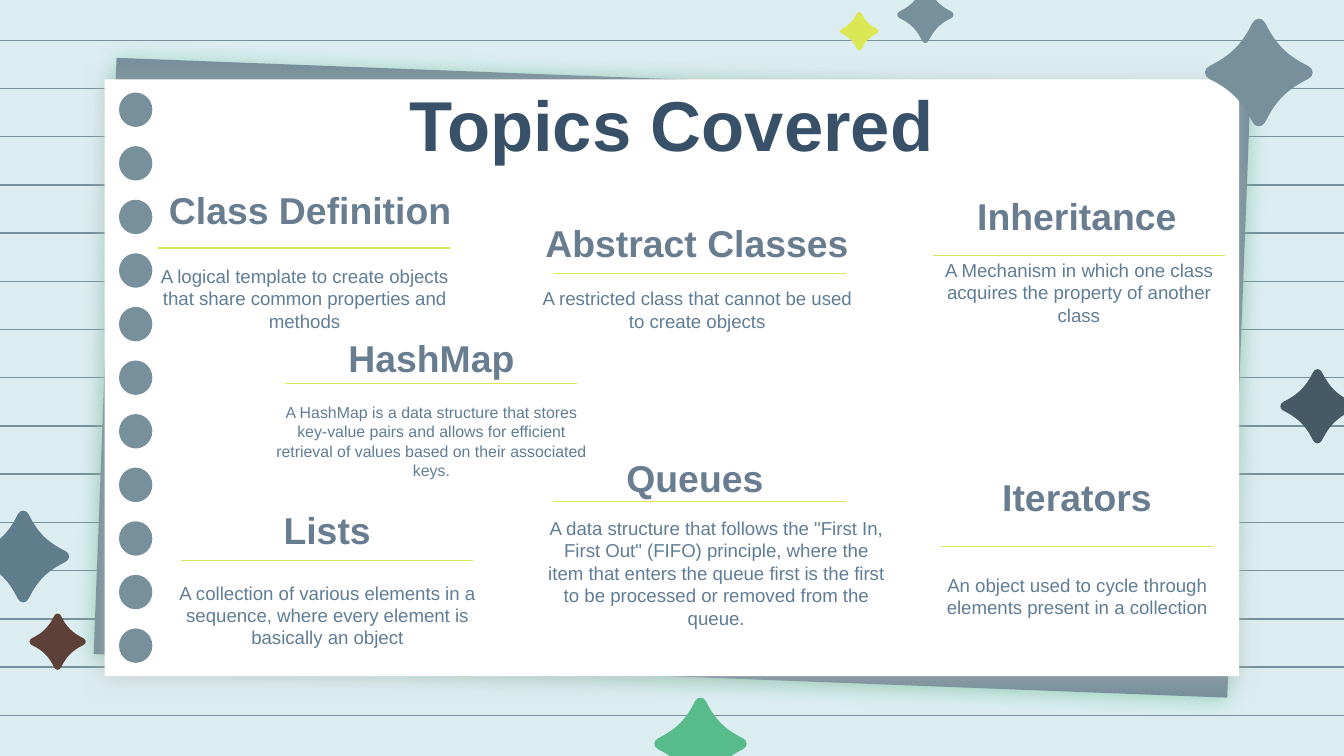
from dataclasses import dataclass

from lxml import etree
from pptx import Presentation
from pptx.dml.color import RGBColor
from pptx.enum.shapes import MSO_CONNECTOR, MSO_SHAPE
from pptx.enum.text import MSO_ANCHOR, MSO_AUTO_SIZE, PP_ALIGN
from pptx.oxml.ns import qn
from pptx.util import Cm, Pt

STRAIGHT = MSO_CONNECTOR.STRAIGHT
RECTANGLE, OVAL = MSO_SHAPE.RECTANGLE, MSO_SHAPE.OVAL
TOP, BOTTOM = MSO_ANCHOR.TOP, MSO_ANCHOR.BOTTOM
NO_AUTOFIT = MSO_AUTO_SIZE.NONE
CENTER = PP_ALIGN.CENTER
TITLE_ONLY = 5


@dataclass(frozen=True)
class Theme:
    """Colours, font and type sizes of the slide."""
    font: str = "Arial"
    paper: str = "DCEDF2"
    card: str = "FFFFFF"
    slate: str = "78909C"
    steel: str = "607D8B"
    charcoal: str = "455A64"
    green: str = "57BB8A"
    brown: str = "5D4037"
    lime: str = "DCE755"
    card_shadow: str = "B7B7B7"
    title: str = "395168"
    heading: str = "697D90"
    body: str = "5F7D95"
    title_size: float = 37.8
    heading_size: float = 20
    body_size: float = 10
    small_size: float = 8.5
    line_width: float = 0.75


THEME = Theme()
CARD_BOX = (1.98, 1.5, 21.44, 11.28)
CARD_TILT = 2.2
RULED_LINES, RULED_TOP, RULED_SPAN = 15, 0.76, 12.76
HOLES, HOLE_TOP, HOLE_SPAN = 11, 1.75, 10.13

BACK_STARS = [
    (0.44, 10.52, 1.73, THEME.steel),
    (24.9, 7.68, 1.4, THEME.charcoal),
    (17.49, 0.28, 1.06, THEME.slate),
    (13.24, 14.06, 1.74, THEME.green),
    (1.09, 12.13, 1.06, THEME.brown),
    (16.24, 0.59, 0.73, THEME.lime),
]
CORNER_STAR = (23.79, 1.37, 2.03, THEME.slate)
STAR_ARM = [(-0.07, -1.03), (0.07, -1.03), (0.12, -0.92),
            (0.32, -0.52), (0.52, -0.32), (0.92, -0.12)]

TOPICS = [
    ("Class Definition", (2.74, 3.66, 6.25, 0.97),
     "A logical template to create objects that share common properties and methods",
     (2.63, 4.75, 6.25, 1.6), THEME.body_size, (2.99, 8.51, 4.69)),
    ("Inheritance", (17.6, 3.61, 5.51, 1.14),
     "A Mechanism in which one class acquires the property of another class",
     (17.48, 4.64, 5.82, 2.31), THEME.body_size, (17.63, 23.15, 4.83)),
    ("Abstract Classes", (9.62, 4.11, 7.11, 1.14),
     "A restricted class that cannot be used to create objects",
     (9.86, 5.18, 6.63, 1.6), THEME.body_size, (10.46, 15.98, 5.17)),
    ("Iterators", (18.16, 8.92, 4.39, 1.14),
     "An object used to cycle through elements present in a collection",
     (17.33, 10.59, 6.05, 2.31), THEME.body_size, (17.78, 22.93, 10.33)),
    ("Lists", (3.66, 9.55, 5.05, 1.14),
     "A collection of various elements in a sequence, where every element is basically an object",
     (2.63, 10.74, 7.11, 2.31), THEME.body_size, (3.42, 8.94, 10.59)),
    ("Queues", (10.61, 8.56, 5.05, 1.14),
     'A data structure that follows the "First In, First Out" (FIFO) principle, where the item '
     "that enters the queue first is the first to be processed or removed from the queue.",
     (10.08, 9.52, 6.91, 2.31), THEME.body_size, (10.46, 15.98, 9.48)),
    ("HashMap", (4.6, 6.29, 7.11, 1.14),
     "A HashMap is a data structure that stores key-value pairs and allows for efficient "
     "retrieval of values based on their associated keys.",
     (4.84, 7.37, 6.63, 1.6), THEME.small_size, (5.39, 10.91, 7.25)),
]


def rgb(colour):
    """Turn a hex string into a colour."""
    return RGBColor.from_string(colour)


def apply_format(target, values):
    """Set each named attribute of the target."""
    for name, value in values.items():
        setattr(target, name, value)


def paint(shape, colour):
    """Give a shape a plain fill without line or shadow."""
    shape.shadow.inherit = False
    shape.fill.solid()
    shape.fill.fore_color.rgb = rgb(colour)
    shape.line.fill.background()


def add_block(slide, kind, box, colour):
    """Add a plain preset shape."""
    block = slide.shapes.add_shape(kind, *map(Cm, box))
    paint(block, colour)
    return block


def add_glow(shape, colour):
    """Put a soft half-transparent shadow just below a shape."""
    effects = shape._element.spPr.find(qn("a:effectLst"))
    shadow = etree.SubElement(effects, qn("a:outerShdw"), blurRad=str(Pt(11.2)),
                              dist=str(Pt(1.5)), dir="5400000", algn="bl", rotWithShape="0")
    tint = etree.SubElement(shadow, qn("a:srgbClr"), val=colour)
    etree.SubElement(tint, qn("a:alpha"), val="50000")


def add_rule(slide, start, end, y, colour):
    """Add a thin horizontal line."""
    rule = slide.shapes.add_connector(STRAIGHT, Cm(start), Cm(y), Cm(end), Cm(y))
    rule.line.color.rgb = rgb(colour)
    rule.line.width = Pt(THEME.line_width)
    etree.SubElement(rule._element.spPr, qn("a:effectLst"))


def bend_segments(shape):
    """Join every three line segments of a freeform into one cubic curve."""
    segments = list(shape._element.iter(qn("a:lnTo")))
    for first in range(0, len(segments), 3):
        curve = etree.Element(qn("a:cubicBezTo"))
        segments[first].addprevious(curve)
        for segment in segments[first:first + 3]:
            curve.append(segment[0])
            segment.getparent().remove(segment)


def add_star(slide, center_x, center_y, size, colour):
    """Add a four-pointed star with rounded tips."""
    arm, outline = STAR_ARM, []
    for _ in range(4):
        outline += arm
        arm = [(-y, x) for x, y in arm]
    points = [(Cm(center_x + x * size / 2), Cm(center_y + y * size / 2)) for x, y in outline]
    builder = slide.shapes.build_freeform(*points[-1])
    builder.add_line_segments(points, close=True)
    star = builder.convert_to_shape()
    bend_segments(star)
    paint(star, colour)


def write_text(holder, text, size, colour, bold=False, anchor=TOP):
    """Write one centred paragraph into a text holder."""
    frame = holder.text_frame
    margins = {f"margin_{side}": Cm(0.25) for side in ("left", "top", "right", "bottom")}
    apply_format(frame, {"text": text, "word_wrap": True, "auto_size": NO_AUTOFIT,
                         "vertical_anchor": anchor, **margins})
    paragraph = frame.paragraphs[0]
    paragraph.alignment = CENTER
    font = paragraph.runs[0].font
    apply_format(font, {"name": THEME.font, "size": Pt(size), "bold": bold})
    font.color.rgb = rgb(colour)


def add_notebook(slide):
    """Draw the ruled page, the two cards, the punched holes and the stars."""
    slide.background.fill.solid()
    slide.background.fill.fore_color.rgb = rgb(THEME.paper)
    for row in range(RULED_LINES):
        y = RULED_TOP + row * RULED_SPAN / (RULED_LINES - 1)
        add_rule(slide, 25.6, -0.2, y, THEME.slate)
    back_card = add_block(slide, RECTANGLE, CARD_BOX, THEME.slate)
    back_card.rotation = CARD_TILT
    add_glow(back_card, THEME.green)
    add_glow(add_block(slide, RECTANGLE, CARD_BOX, THEME.card), THEME.card_shadow)
    for hole in range(HOLES):
        top = HOLE_TOP + hole * HOLE_SPAN / (HOLES - 1)
        add_block(slide, OVAL, (2.25, top, 0.63, 0.65), THEME.slate)
    for star in BACK_STARS:
        add_star(slide, *star)


def add_title(slide, text):
    """Place the title in front of the notebook."""
    title = slide.shapes.title
    box = zip(("left", "top", "width", "height"), map(Cm, (3.23, 1.78, 18.92, 1.6)))
    apply_format(title, dict(box))
    write_text(title, text, THEME.title_size, THEME.title, bold=True, anchor=BOTTOM)
    slide.shapes._spTree.append(title._element)


def add_topic(slide, name, name_box, meaning, meaning_box, meaning_size, rule):
    """Add a topic's heading, rule and explanation."""
    explanation = slide.shapes.add_textbox(*map(Cm, meaning_box))
    write_text(explanation, meaning, meaning_size, THEME.body)
    heading = slide.shapes.add_textbox(*map(Cm, name_box))
    write_text(heading, name, THEME.heading_size, THEME.heading, bold=True, anchor=BOTTOM)
    add_rule(slide, *rule, THEME.lime)


def main():
    """Build and save the slide."""
    deck = Presentation()
    apply_format(deck, {"slide_width": Cm(25.4), "slide_height": Cm(14.29)})
    slide = deck.slides.add_slide(deck.slide_layouts[TITLE_ONLY])
    add_notebook(slide)
    add_title(slide, "Topics Covered")
    for topic in TOPICS:
        add_topic(slide, *topic)
    add_star(slide, *CORNER_STAR)
    deck.save("out.pptx")


if __name__ == "__main__":
    main()
